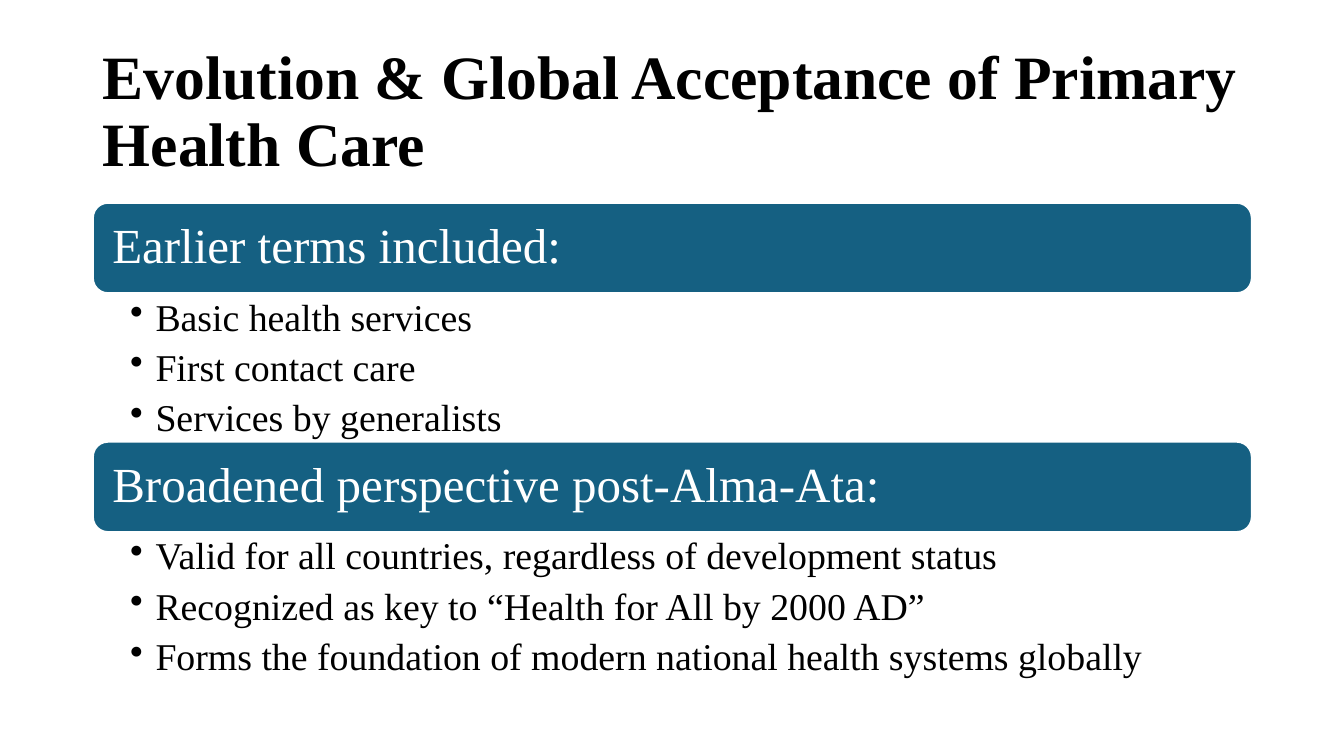
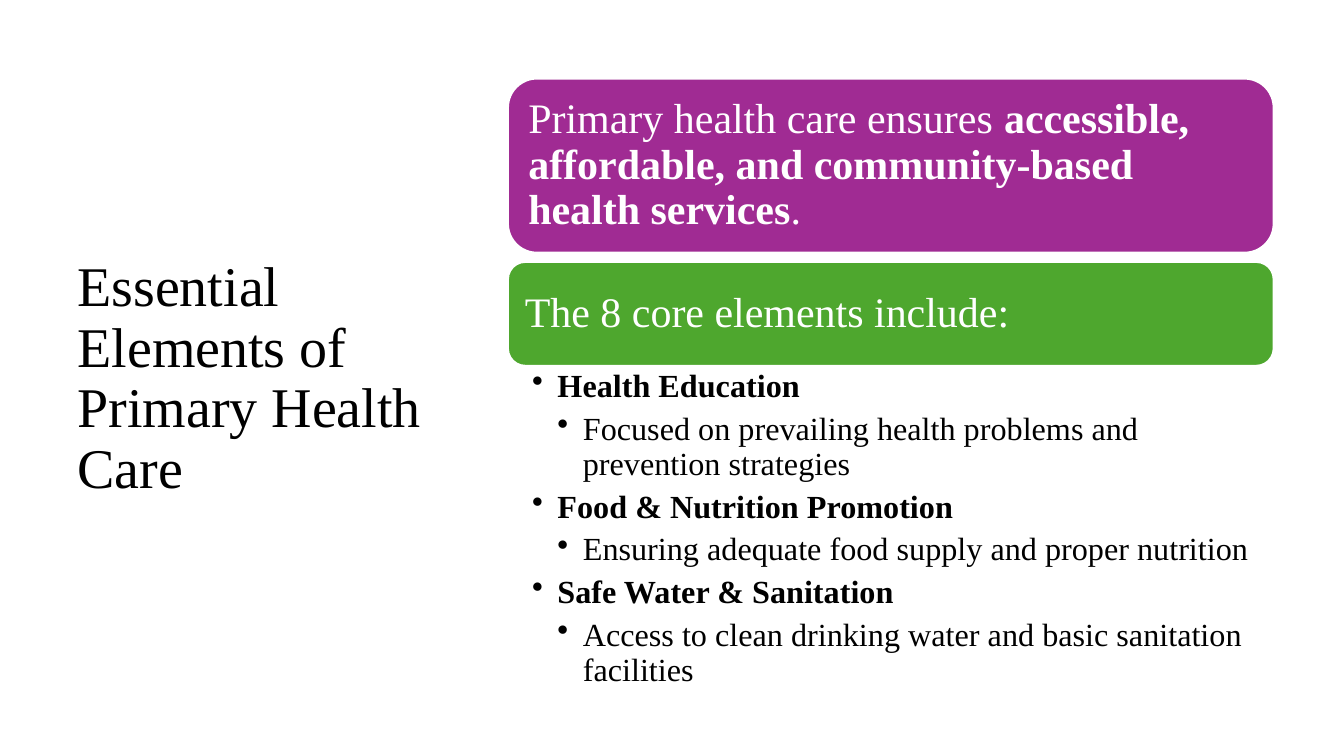
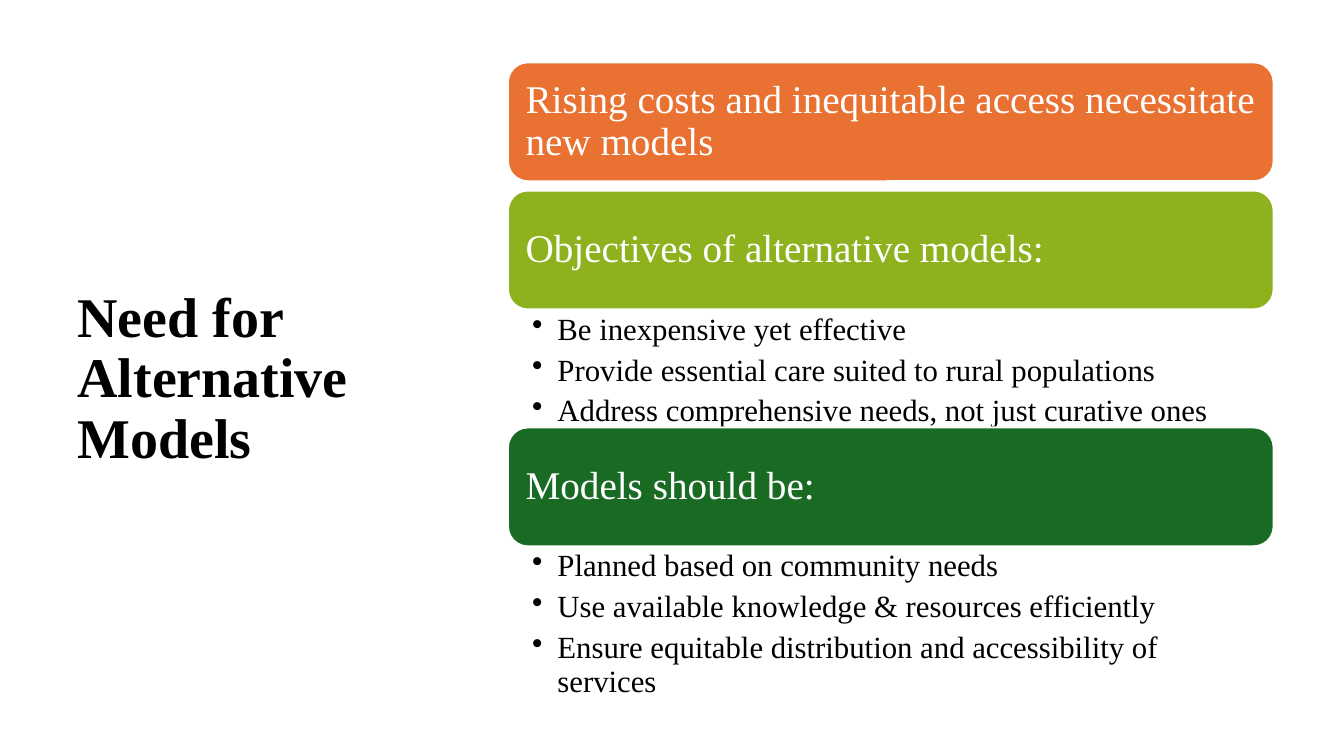
import pptx
import pptx.util
import pptx.dml.color
import pptx.enum.shapes
import pptx.enum.text
import lxml.etree
from pptx.util import Cm, Pt

FONT = "Times New Roman"
BLACK, WHITE = "000000", "FFFFFF"
STEP = Cm(0.64)
LEFT = pptx.enum.text.PP_ALIGN.LEFT
MIDDLE = pptx.enum.text.MSO_ANCHOR.MIDDLE
TOP = pptx.enum.text.MSO_ANCHOR.TOP


def color(code):
    return pptx.dml.color.RGBColor.from_string(code)


def write(frame, rows, size, ink, anchor, pad=None, bold=False):
    """Fill a frame with (depth, text) rows; ** toggles bold, depth 0 has no bullet."""
    look = {"word_wrap": True, "vertical_anchor": anchor,
            "auto_size": pptx.enum.text.MSO_AUTO_SIZE.NONE}
    if pad:
        sides = ("margin_left", "margin_top", "margin_right", "margin_bottom")
        look.update(zip(sides, map(Cm, pad)))
    for name, value in look.items():
        setattr(frame, name, value)
    for i, (depth, text) in enumerate(rows):
        para = frame.add_paragraph() if i else frame.paragraphs[0]
        style = {"alignment": LEFT, "line_spacing": 0.9, "level": depth,
                 "space_before": Pt(0), "space_after": Pt(size / 4 if depth else 0)}
        for name, value in style.items():
            setattr(para, name, value)
        if depth:
            props = para._p.get_or_add_pPr()
            props.set("marL", str(depth * STEP))
            props.set("indent", str(-STEP))
            mark = lxml.etree.SubElement(props, pptx.oxml.ns.qn("a:buChar"))
            mark.set("char", "•")
        for j, part in enumerate(text.split("**")):
            if part:
                run = para.add_run()
                run.text = part
                face = {"name": FONT, "size": Pt(size), "bold": bold or j % 2 == 1}
                for name, value in face.items():
                    setattr(run.font, name, value)
                run.font.color.rgb = color(ink)


# Boxes are left, top, width, height in cm.
# Each part is: bar text, fill, bar height, list height, list rows.
WIDE = {"title_box": (2.34, 1.01, 29.21, 3.68), "title_size": 44,
        "left": 2.34, "width": 29.21, "bar_pad": (0.38,) * 4,
        "list_pad": (0.94, 0.13, 0.69, 0.13)}
SIDE = {"title_box": (1.7, 1.52, 9.7, 16.08), "title_size": 40,
        "left": 12.8, "width": 19.3, "bar_pad": (0.3,) * 4,
        "list_pad": (0.61, 0.1, 0.57, 0.1)}
GAP = 0.23

PAGES = [
    {**WIDE, "title": "Evolution & Global Acceptance of Primary Health Care",
     "bold": True, "top": 5.11, "bar_size": 35, "list_size": 27, "parts": [
         ("Earlier terms included:", "156082", 2.28, 3.74, [
             (1, "Basic health services"),
             (1, "First contact care"),
             (1, "Services by generalists")]),
         ("Broadened perspective post-Alma-Ata:", "156082", 2.28, 3.74, [
             (1, "Valid for all countries, regardless of development status"),
             (1, "Recognized as key to “Health for All by 2000 AD”"),
             (1, "Forms the foundation of modern national health systems globally")])]},
    {**SIDE, "title": "Essential Elements of Primary Health Care",
     "bold": False, "top": 1.98, "bar_size": 30, "list_size": 23, "parts": [
         ("Primary health care ensures **accessible, affordable, "
          "and community-based health services**.", "A02B93", 4.39, 0, []),
         ("The 8 core elements include:", "4EA72E", 2.62, 7.92, [
             (1, "**Health Education**"),
             (2, "Focused on prevailing health problems and prevention strategies"),
             (1, "**Food & Nutrition Promotion**"),
             (2, "Ensuring adequate food supply and proper nutrition"),
             (1, "**Safe Water & Sanitation**"),
             (2, "Access to clean drinking water and basic sanitation facilities")])]},
    {**SIDE, "title": "Need for Alternative Models",
     "bold": True, "top": 1.57, "bar_size": 28, "list_size": 22, "parts": [
         ("Rising costs and inequitable access necessitate new models",
          "E97132", 3, 0, []),
         ("Objectives of alternative models:", "8EB21E", 3, 2.97, [
             (1, "Be inexpensive yet effective"),
             (1, "Provide essential care suited to rural populations"),
             (1, "Address comprehensive needs, not just curative ones")]),
         ("Models should be:", "196B24", 3, 3.78, [
             (1, "Planned based on community needs"),
             (1, "Use available knowledge & resources efficiently"),
             (1, "Ensure equitable distribution and accessibility of services")])]},
]

deck = pptx.Presentation()
deck.slide_width, deck.slide_height = Cm(33.87), Cm(19.05)

for page in PAGES:
    slide = deck.slides.add_slide(deck.slide_layouts[5])
    title = slide.shapes.title
    for name, value in zip(("left", "top", "width", "height"), page["title_box"]):
        setattr(title, name, Cm(value))
    write(title.text_frame, [(0, page["title"])], page["title_size"], BLACK,
          MIDDLE, bold=page["bold"])

    left, width, top = Cm(page["left"]), Cm(page["width"]), page["top"]
    for text, fill, high, deep, rows in page["parts"]:
        bar = slide.shapes.add_shape(
            pptx.enum.shapes.MSO_SHAPE.ROUNDED_RECTANGLE,
            left, Cm(top), width, Cm(high))
        bar.shadow.inherit = False
        bar.fill.solid()
        bar.fill.fore_color.rgb = color(fill)
        bar.line.color.rgb = color(WHITE)
        bar.line.width = Pt(1.5)
        write(bar.text_frame, [(0, text)], page["bar_size"], WHITE, MIDDLE,
              page["bar_pad"])
        top += high
        if rows:
            box = slide.shapes.add_textbox(left, Cm(top), width, Cm(deep))
            write(box.text_frame, rows, page["list_size"], BLACK, TOP,
                  page["list_pad"])
            top += deep
        else:
            top += GAP

deck.save("out.pptx")
